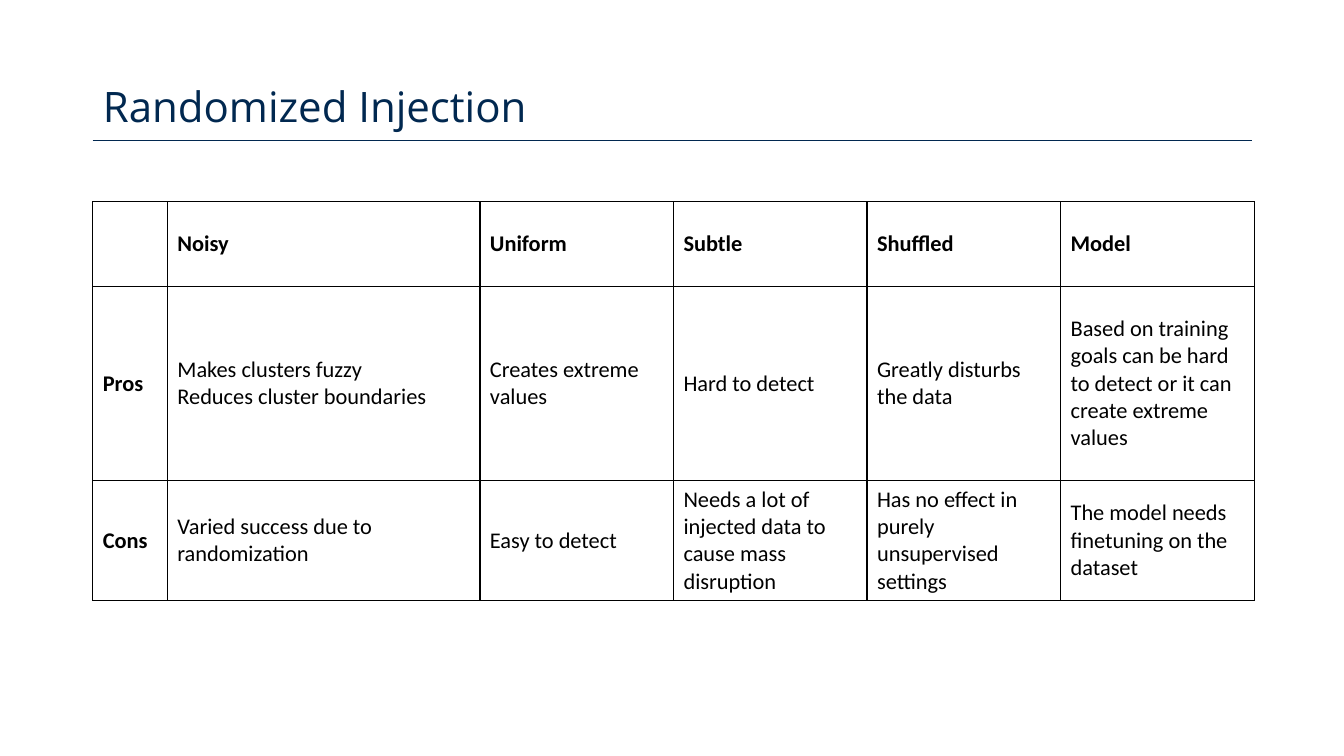
from lxml import etree
from pptx import Presentation
from pptx import util as u
from pptx.dml.color import RGBColor
from pptx.enum import shapes, text
from pptx.oxml import ns

NAVY = RGBColor(0x01, 0x28, 0x50)
BLACK = RGBColor(0, 0, 0)

LEFT, WIDE = 0.92, 11.5
COLS = [0.74, 3.1] + [1.92] * 4
ROWS = [0.84, 1.93, 1.04]
DATA = [
    ["", "Noisy", "Uniform", "Subtle", "Shuffled", "Model"],
    ["Pros", "Makes clusters fuzzy\nReduces cluster boundaries",
     "Creates extreme values", "Hard to detect", "Greatly disturbs the data",
     "Based on training goals can be hard to detect or it can create extreme values"],
    ["Cons", "Varied success due to randomization", "Easy to detect",
     "Needs a lot of injected data to cause mass disruption",
     "Has no effect in purely unsupervised settings",
     "The model needs finetuning on the dataset"],
]


class Deck:
    """Style and current slide."""

    head, body = "Open Sans", "Calibri"

    def __init__(self):
        self.prs = Presentation()
        self.prs.slide_width = u.Inches(13.33)
        self.prs.slide_height = u.Inches(7.5)
        self.slide = self.prs.slides.add_slide(self.prs.slide_layouts[5])

    def run(self, para, words, font, size, color, bold=False):
        run = para.add_run()
        run.text = words
        run.font.name, run.font.size = font, u.Pt(size)
        run.font.bold = bold
        run.font.color.rgb = color

    def title(self, words, top, high):
        box = self.slide.shapes.title
        box.left, box.top = u.Inches(LEFT), u.Inches(top)
        box.width, box.height = u.Inches(WIDE), u.Inches(high)
        frame = box.text_frame
        frame.word_wrap = True
        frame.auto_size = text.MSO_AUTO_SIZE.NONE
        frame.vertical_anchor = text.MSO_ANCHOR.MIDDLE
        para = frame.paragraphs[0]
        para.alignment = text.PP_ALIGN.LEFT
        para.line_spacing = 0.9
        self.run(para, words, self.head, 30, NAVY)

    def rule(self, top):
        line = self.slide.shapes.add_connector(
            shapes.MSO_CONNECTOR.STRAIGHT, u.Inches(LEFT), u.Inches(top),
            u.Inches(LEFT + WIDE), u.Inches(top))
        line.line.color.rgb = NAVY
        line.line.width = u.Pt(0.5)
        etree.SubElement(line._element.spPr, ns.qn("a:effectLst"))

    def edge(self, cell):
        props = cell._tc.get_or_add_tcPr()
        for spot, side in enumerate(("lnL", "lnR", "lnT", "lnB")):
            line = etree.Element(ns.qn("a:" + side), w=str(u.Pt(1)))
            fill = etree.SubElement(line, ns.qn("a:solidFill"))
            etree.SubElement(fill, ns.qn("a:srgbClr"), val=str(BLACK))
            props.insert(spot, line)

    def table(self, top, data):
        grid = self.slide.shapes.add_table(
            len(ROWS), len(COLS), u.Inches(LEFT), u.Inches(top),
            u.Inches(WIDE), u.Inches(sum(ROWS))).table
        grid.horz_banding = grid.first_row = False
        for col, wide in zip(grid.columns, COLS):
            col.width = u.Inches(wide)
        for row, high in zip(grid.rows, ROWS):
            row.height = u.Inches(high)
        for r, line in enumerate(data):
            for c, words in enumerate(line):
                cell = grid.cell(r, c)
                cell.fill.background()
                cell.vertical_anchor = text.MSO_ANCHOR.MIDDLE
                self.edge(cell)
                frame = cell.text_frame
                for i, part in enumerate(words.split("\n") if words else []):
                    para = frame.add_paragraph() if i else frame.paragraphs[0]
                    self.run(para, part, self.body, 16, BLACK, r == 0 or c == 0)


def main():
    deck = Deck()
    # Heading
    deck.rule(1.39)
    deck.title("Randomized Injection", 0.79, 0.58)
    # Pros and cons
    deck.table(2, DATA)
    deck.prs.save("out.pptx")


if __name__ == "__main__":
    main()
